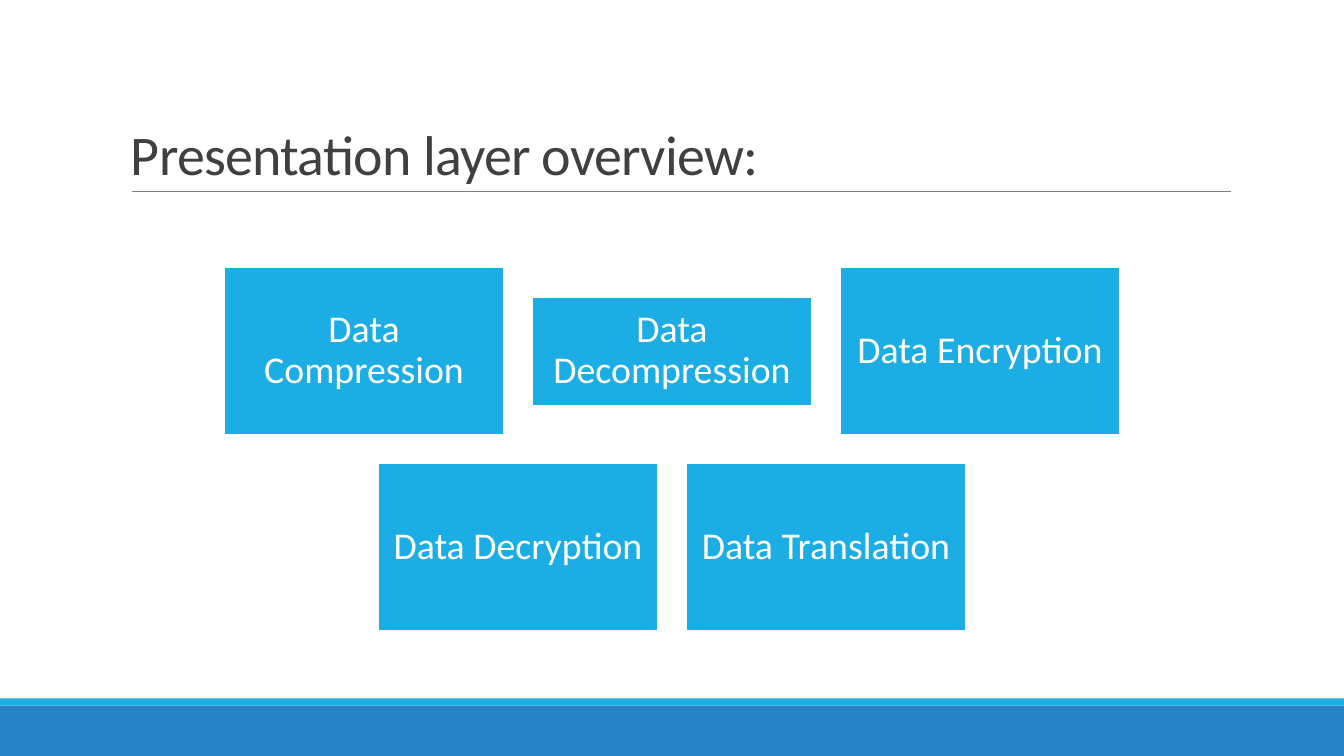
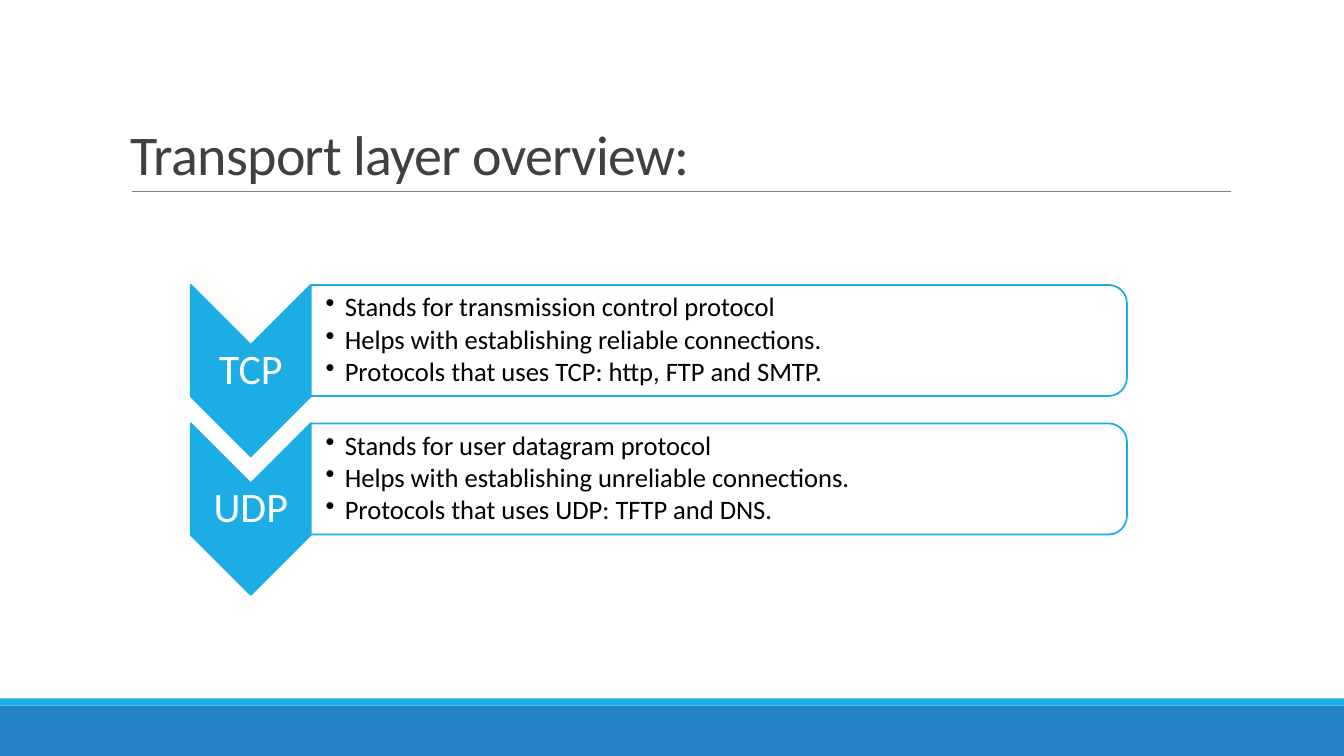
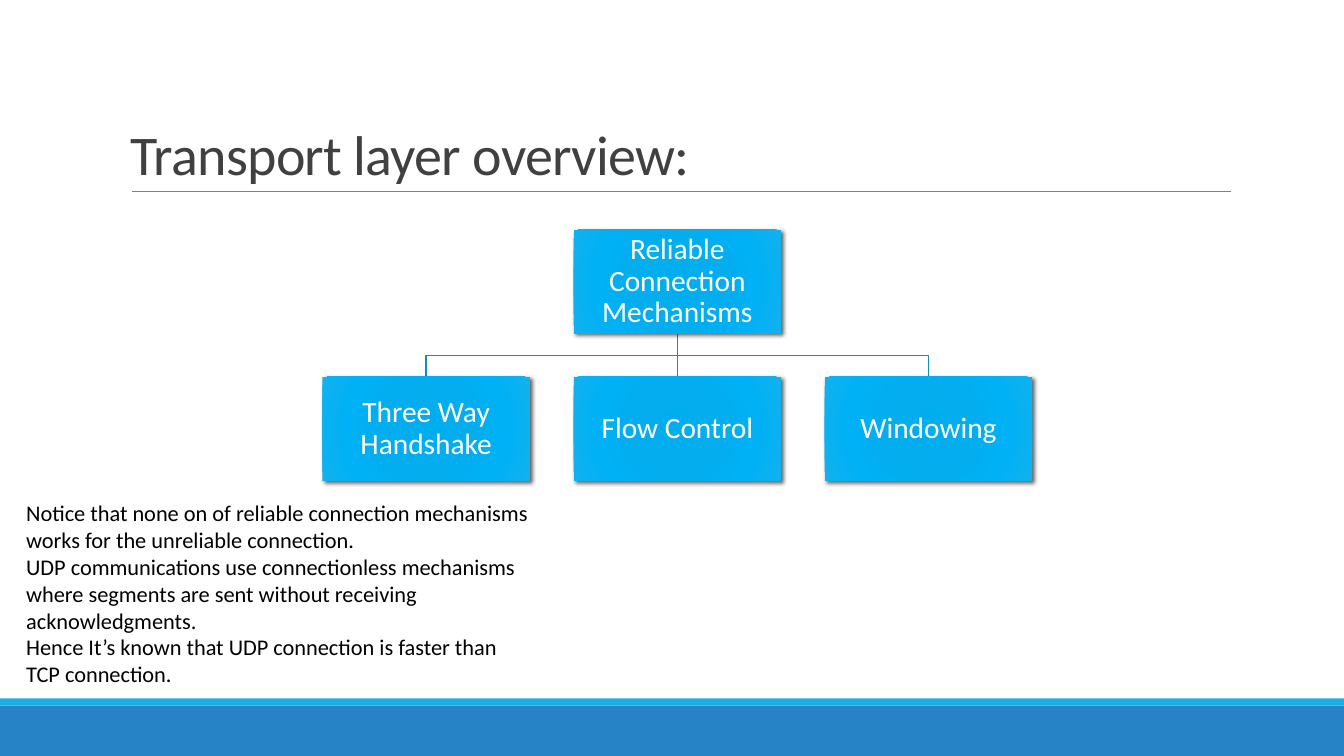
from pptx import Presentation
from pptx.dml.color import RGBColor
from pptx.enum.shapes import MSO_CONNECTOR as Connector, MSO_SHAPE as Shape
from pptx.enum.text import MSO_ANCHOR as Anchor, PP_ALIGN as Align
from pptx.oxml import parse_xml
from pptx.oxml.ns import nsdecls
from pptx.oxml.xmlchemy import OxmlElement
from pptx.util import Cm, Pt

FONT = "Calibri"
COLORS = {
    "band": "2683C6",
    "accent": "1CADE4",
    "rule": "808080",
    "title": "404040",
    "link": "168BB7",
    "white": "FFFFFF",
    "black": "000000",
}
GLOW = [(0, "00ADEF"), (34, "03ADEE"), (70, "00B1F5"), (100, "12B1EE")]
SLIDE_WIDTH, SLIDE_HEIGHT = 33.87, 19.05


def color(name):
    return RGBColor.from_string(COLORS[name])


# Text

def add_bullet(para, indent):
    props = para._p.get_or_add_pPr()
    props.set("marL", str(Cm(indent)))
    props.set("indent", str(-Cm(indent)))
    bullet = OxmlElement("a:buChar")
    bullet.set("char", "•")
    props.append(bullet)


def write_text(box, text, size, ink="white", align=Align.CENTER,
               anchor=Anchor.MIDDLE, insets=(0.25, 0.13, 0.25, 0.13),
               line_spacing=0.9, space_after=0, bullet_indent=None, tracking=None):
    """Fill a shape with text, one paragraph for each line."""
    frame = box.text_frame
    frame.word_wrap = True
    frame.vertical_anchor = anchor
    (frame.margin_left, frame.margin_top,
     frame.margin_right, frame.margin_bottom) = map(Cm, insets)
    for index, line in enumerate(text.split("\n")):
        para = frame.paragraphs[0] if index == 0 else frame.add_paragraph()
        para.alignment = align
        para.line_spacing = line_spacing
        para.space_after = Pt(space_after)
        if bullet_indent:
            add_bullet(para, bullet_indent)
        span = para.add_run()
        span.text = line
        span.font.name = FONT
        span.font.size = Pt(size)
        span.font.color.rgb = color(ink)
        if tracking:
            span.font._element.set("spc", str(round(tracking * 100)))


def add_text(page, left, top, width, height, text, size, **style):
    box = page.shapes.add_textbox(Cm(left), Cm(top), Cm(width), Cm(height))
    write_text(box, text, size, **style)


# Shapes and lines

def add_box(page, left, top, width, height, kind=Shape.RECTANGLE,
            fill="accent", line=None):
    box = page.shapes.add_shape(kind, Cm(left), Cm(top), Cm(width), Cm(height))
    box.shadow.inherit = False
    box.fill.solid()
    box.fill.fore_color.rgb = color(fill)
    if line:
        box.line.color.rgb = color(line)
        box.line.width = Pt(1.25)
    else:
        box.line.fill.background()
    return box


def add_turned_box(page, left, top, width, height, **style):
    """Add a shape turned by 90 degrees that covers the given area."""
    shift = (width - height) / 2
    box = add_box(page, left + shift, top - shift, height, width, **style)
    box.rotation = 90


def add_line(page, x1, y1, x2, y2, ink, weight):
    line = page.shapes.add_connector(Connector.STRAIGHT, Cm(x1), Cm(y1), Cm(x2), Cm(y2))
    line.line.color.rgb = color(ink)
    line.line.width = Pt(weight)
    line._element.spPr.append(OxmlElement("a:effectLst"))


def add_polyline(page, points, ink, weight):
    start, *rest = [(Cm(x), Cm(y)) for x, y in points]
    builder = page.shapes.build_freeform(*start)
    builder.add_line_segments(rest, close=False)
    outline = builder.convert_to_shape()
    outline.shadow.inherit = False
    outline.fill.background()
    outline.line.color.rgb = color(ink)
    outline.line.width = Pt(weight)


def add_glow_box(page, left, top, width, height, text):
    """Add a box with a round gradient and a soft shadow."""
    box = add_box(page, left, top, width, height)
    props = box._element.spPr
    stops = "".join(f'<a:gs pos="{place * 1000}"><a:srgbClr val="{tint}"/></a:gs>'
                    for place, tint in GLOW)
    gradient = parse_xml(
        f'<a:gradFill {nsdecls("a")} rotWithShape="1"><a:gsLst>{stops}</a:gsLst>'
        '<a:path path="circle"><a:fillToRect l="100000" t="100000" r="100000" b="100000"/>'
        '</a:path></a:gradFill>')
    props.replace(props.find("{*}solidFill"), gradient)
    shadow = parse_xml(
        f'<a:outerShdw {nsdecls("a")} blurRad="{Pt(3)}" dist="{Pt(2)}" dir="2700000">'
        f'<a:srgbClr val="{COLORS["black"]}"><a:alpha val="60000"/></a:srgbClr></a:outerShdw>')
    props.find("{*}effectLst").append(shadow)
    write_text(box, text, 21, insets=(0.03,) * 4)


# Shared frame of every slide

def add_page(deck, title):
    page = deck.slides.add_slide(deck.slide_layouts[6])
    add_box(page, 0, 17.78, SLIDE_WIDTH, 1.27, fill="band")
    add_box(page, 0, 17.6, SLIDE_WIDTH, 0.18)
    add_line(page, 3.33, 4.83, 31.01, 4.83, "rule", 0.5)
    add_text(page, 3.05, 0.79, 27.94, 4.04, title, 40, ink="title", align=Align.LEFT,
             anchor=Anchor.BOTTOM, line_spacing=0.85, tracking=-0.5)
    return page


# Slides

def build_presentation_layer(deck):
    page = add_page(deck, "Presentation layer overview:")
    width, height, gap, top = 7.06, 4.24, 0.7, 6.73
    rows = [
        [("Data Compression", height), ("Data Decompression", 2.74),
         ("Data Encryption", height)],
        [("Data Decryption", height), ("Data Translation", height)],
    ]
    for row_index, row in enumerate(rows):
        row_width = len(row) * (width + gap) - gap
        row_left = (SLIDE_WIDTH - row_width) / 2
        row_top = top + row_index * (height + gap)
        for index, (label, box_height) in enumerate(row):
            box = add_box(page, row_left + index * (width + gap),
                          row_top + (height - box_height) / 2,
                          width, box_height, line="white")
            write_text(box, label, 27, insets=(0.28,) * 4)


def build_protocols(deck):
    page = add_page(deck, "Transport layer overview:")
    protocols = [
        ("TCP", "Stands for transmission control protocol\n"
                "Helps with establishing reliable connections.\n"
                "Protocols that uses TCP: http, FTP and SMTP."),
        ("UDP", "Stands for user datagram protocol\n"
                "Helps with establishing unreliable connections.\n"
                "Protocols that uses UDP: TFTP and DNS."),
    ]
    left, arrow_width = 4.81, 3.02
    panel_left, panel_width, panel_height = left + arrow_width, 20.57, 2.8
    for index, (name, facts) in enumerate(protocols):
        top = 7.18 + index * 3.49
        add_turned_box(page, left, top, arrow_width, 4.32,
                       kind=Shape.CHEVRON, line="accent")
        add_text(page, left, top + 1.51, arrow_width, 1.3, name, 30, insets=(0.05,) * 4)
        add_turned_box(page, panel_left, top, panel_width, panel_height,
                       kind=Shape.ROUND_2_SAME_RECTANGLE, fill="white", line="accent")
        add_text(page, panel_left, top, panel_width, panel_height, facts, 19,
                 ink="black", align=Align.LEFT, insets=(0.38, 0.03, 0.03, 0.03),
                 space_after=2.5, bullet_indent=0.48)


def build_mechanisms(deck):
    page = add_page(deck, "Transport layer overview:")
    width, height, pitch, center = 5.23, 2.62, 6.33, 17.07
    root_top, child_top = 5.79, 9.5
    root_bottom = root_top + height
    middle = (root_bottom + child_top) / 2
    # Links from the root to its children
    add_line(page, center, root_bottom, center, child_top, "link", 1)
    for x in (center - pitch, center + pitch):
        add_polyline(page, [(center, root_bottom), (center, middle),
                            (x, middle), (x, child_top)], "link", 1)
    # Boxes
    left = center - width / 2
    add_glow_box(page, left, root_top, width, height, "Reliable Connection Mechanisms")
    for step, label in enumerate(["Three Way Handshake", "Flow Control", "Windowing"], -1):
        add_glow_box(page, left + step * pitch, child_top, width, height, label)
    # Remark
    add_text(page, 0.41, 12.45, 13.18, 5.05,
             "Notice that none on of reliable connection mechanisms works for the "
             "unreliable connection.\n"
             "UDP communications use connectionless mechanisms where segments are sent "
             "without receiving acknowledgments.\n"
             "Hence It’s known that UDP connection is faster than TCP connection.",
             16, ink="black", align=Align.LEFT, anchor=Anchor.TOP, line_spacing=1.0)


def main():
    deck = Presentation()
    deck.slide_width, deck.slide_height = Cm(SLIDE_WIDTH), Cm(SLIDE_HEIGHT)
    build_presentation_layer(deck)
    build_protocols(deck)
    build_mechanisms(deck)
    deck.save("out.pptx")


if __name__ == "__main__":
    main()
